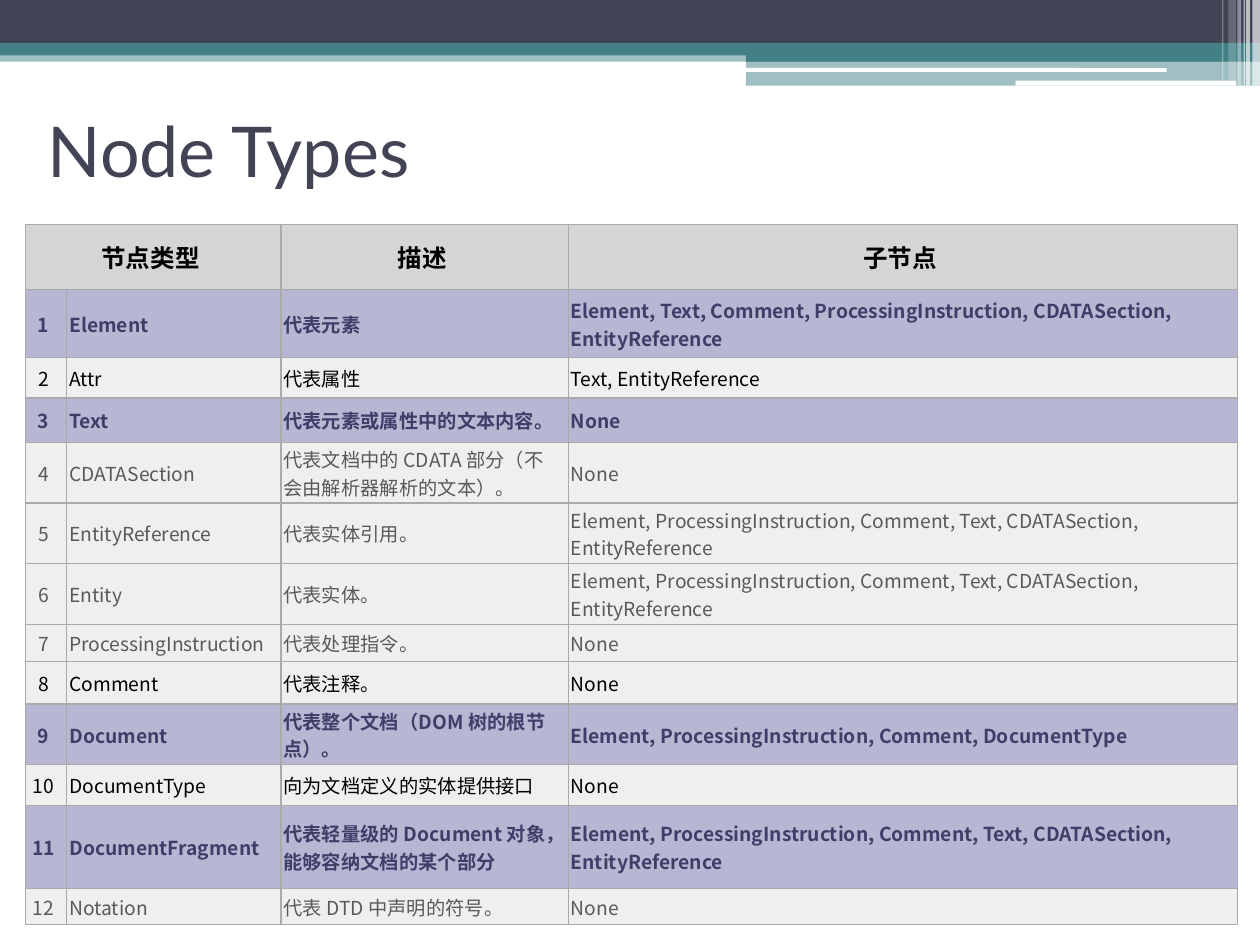
from lxml import etree
from pptx import Presentation
from pptx.dml.color import RGBColor
from pptx.enum.shapes import MSO_SHAPE
from pptx.enum.text import MSO_ANCHOR, PP_ALIGN
from pptx.oxml.ns import qn
from pptx.util import Inches, Pt

RECT, ROUND = MSO_SHAPE.RECTANGLE, MSO_SHAPE.ROUNDED_RECTANGLE
MIDDLE = MSO_ANCHOR.MIDDLE
LEFT, CENTER = PP_ALIGN.LEFT, PP_ALIGN.CENTER

THEME = {
    "navy": "424456", "teal": "438086", "white": "FFFFFF", "line": "AAAAAA",
    "title_font": "Lato", "font": "Noto Sans CJK SC",
    "title": 40, "head": 14, "cell": 11,
}
# style: fill, text colour, bold
STYLES = {
    "head": ("D5D5D5", "000000", True),
    "key": ("B7B7D4", "3E3F68", True),
    "plain": ("EFEFEF", "000000", False),
    "dim": ("EFEFEF", "595959", False),
}

TITLE = "Node Types"
HEADS = ["节点类型", "", "描述", "子节点"]
KIDS = "Element, ProcessingInstruction, Comment, Text, CDATASection, EntityReference"
# style, row height, node type, description, child nodes
NODES = [
    ("key", 0.54, "Element", "代表元素",
     "Element, Text, Comment, ProcessingInstruction, CDATASection, EntityReference"),
    ("plain", 0.32, "Attr", "代表属性", "Text, EntityReference"),
    ("key", 0.35, "Text", "代表元素或属性中的文本内容。", "None"),
    ("dim", 0.45, "CDATASection", "代表文档中的 CDATA 部分（不会由解析器解析的文本）。", "None"),
    ("dim", 0.45, "EntityReference", "代表实体引用。", KIDS),
    ("dim", 0.45, "Entity", "代表实体。", KIDS),
    ("dim", 0.29, "ProcessingInstruction", "代表处理指令。", "None"),
    ("plain", 0.34, "Comment", "代表注释。", "None"),
    ("key", 0.45, "Document", "代表整个文档（DOM 树的根节点）。",
     "Element, ProcessingInstruction, Comment, DocumentType"),
    ("plain", 0.32, "DocumentType", "向为文档定义的实体提供接口", "None"),
    ("key", 0.66, "DocumentFragment", "代表轻量级的 Document 对象，能够容纳文档的某个部分", KIDS),
    ("dim", 0.29, "Notation", "代表 DTD 中声明的符号。", "None"),
]
COLS = [0.33, 1.7, 2.28, 5.31]
HEAD_H = 0.52

# shape, left, top, width, height, colour, opacity in percent
BANDS = [
    (RECT, 0, 0.4, 10, 0.09, "teal", 50),
    (RECT, 0, 0, 10, 0.34, "navy", 100),
    (RECT, 0, 0.34, 10, 0.1, "teal", 100),
    (RECT, 5.92, 0.39, 4.08, 0.1, "teal", 100),
    (RECT, 5.92, 0.48, 4.08, 0.2, "teal", 50),
    (ROUND, 5.91, 0.54, 3.35, 0.03, "white", 100),
    (ROUND, 8.06, 0.64, 1.75, 0.04, "white", 100),
]
# left, width, height, opacity in percent
STRIPES = [
    (9.94, 0.06, 0.68, 65), (9.89, 0.03, 0.68, 65), (9.87, 0.01, 0.68, 60),
    (9.82, 0.03, 0.68, 40), (9.75, 0.06, 0.64, 20), (9.7, 0.01, 0.64, 30),
]


def add_band(slide, kind, left, top, width, height, color, alpha):
    band = slide.shapes.add_shape(kind, *map(Inches, (left, top, width, height)))
    band.shadow.inherit = False
    band.line.fill.background()
    band.fill.solid()
    band.fill.fore_color.rgb = RGBColor.from_string(THEME[color])
    if alpha < 100:
        tone = band.fill._xPr.find(qn("a:solidFill"))[0]
        etree.SubElement(tone, qn("a:alpha"), val=str(alpha * 1000))


def set_font(para, name, size, color, bold=False):
    """Set the font of a paragraph, for Latin and East Asian text alike."""
    font = para.font
    font.name, font.size, font.bold = name, Pt(size), bold
    font.color.rgb = RGBColor.from_string(color)
    etree.SubElement(para._p.pPr.find(qn("a:defRPr")), qn("a:ea"), typeface=name)


def add_title(slide):
    title = slide.shapes.title
    title.left, title.top, title.width, title.height = map(Inches, (0.28, 0.6, 9, 1.17))
    frame = title.text_frame
    frame.text = TITLE
    frame.vertical_anchor = MIDDLE
    para = frame.paragraphs[0]
    para.alignment = LEFT
    set_font(para, THEME["title_font"], THEME["title"], THEME["navy"])
    slide.shapes._spTree.append(title._element)  # in front of the bands


def add_borders(cell):
    props = cell._tc.get_or_add_tcPr()
    for side in ("lnL", "lnR", "lnT", "lnB"):
        line = etree.SubElement(props, qn("a:" + side), w=str(Pt(0.75)))
        fill = etree.SubElement(line, qn("a:solidFill"))
        etree.SubElement(fill, qn("a:srgbClr"), val=THEME["line"])


def fill_cell(cell, text, style, size, align):
    back, color, bold = STYLES[style]
    add_borders(cell)
    cell.fill.solid()
    cell.fill.fore_color.rgb = RGBColor.from_string(back)
    cell.vertical_anchor = MIDDLE
    cell.margin_left = cell.margin_top = cell.margin_bottom = Inches(0.02)
    cell.margin_right = Inches(0.06)
    cell.text = text
    para = cell.text_frame.paragraphs[0]
    para.alignment = align
    set_font(para, THEME["font"], size, color, bold)


def add_nodes(slide):
    rows = [("head", HEAD_H, *HEADS)]
    rows += [(style, height, str(num), *texts)
             for num, (style, height, *texts) in enumerate(NODES, 1)]
    total = sum(row[1] for row in rows)
    table = slide.shapes.add_table(
        len(rows), len(COLS), Inches(0.2), Inches(1.78),
        Inches(sum(COLS)), Inches(total)).table
    for col, width in zip(table.columns, COLS):
        col.width = Inches(width)
    for r, (style, height, *texts) in enumerate(rows):
        table.rows[r].height = Inches(height)
        size = THEME["head" if r == 0 else "cell"]
        for c, text in enumerate(texts):
            align = CENTER if r == 0 or c == 0 else LEFT
            fill_cell(table.cell(r, c), text, style, size, align)
    table.cell(0, 0).merge(table.cell(0, 1))


def main():
    deck = Presentation()
    deck.slide_width, deck.slide_height = Inches(10), Inches(7.5)
    slide = deck.slides.add_slide(deck.slide_layouts[5])
    for band in BANDS:
        add_band(slide, *band)
    for left, width, height, alpha in STRIPES:
        add_band(slide, RECT, left, 0, width, height, "white", alpha)
    add_title(slide)
    add_nodes(slide)
    deck.save("out.pptx")


if __name__ == "__main__":
    main()
